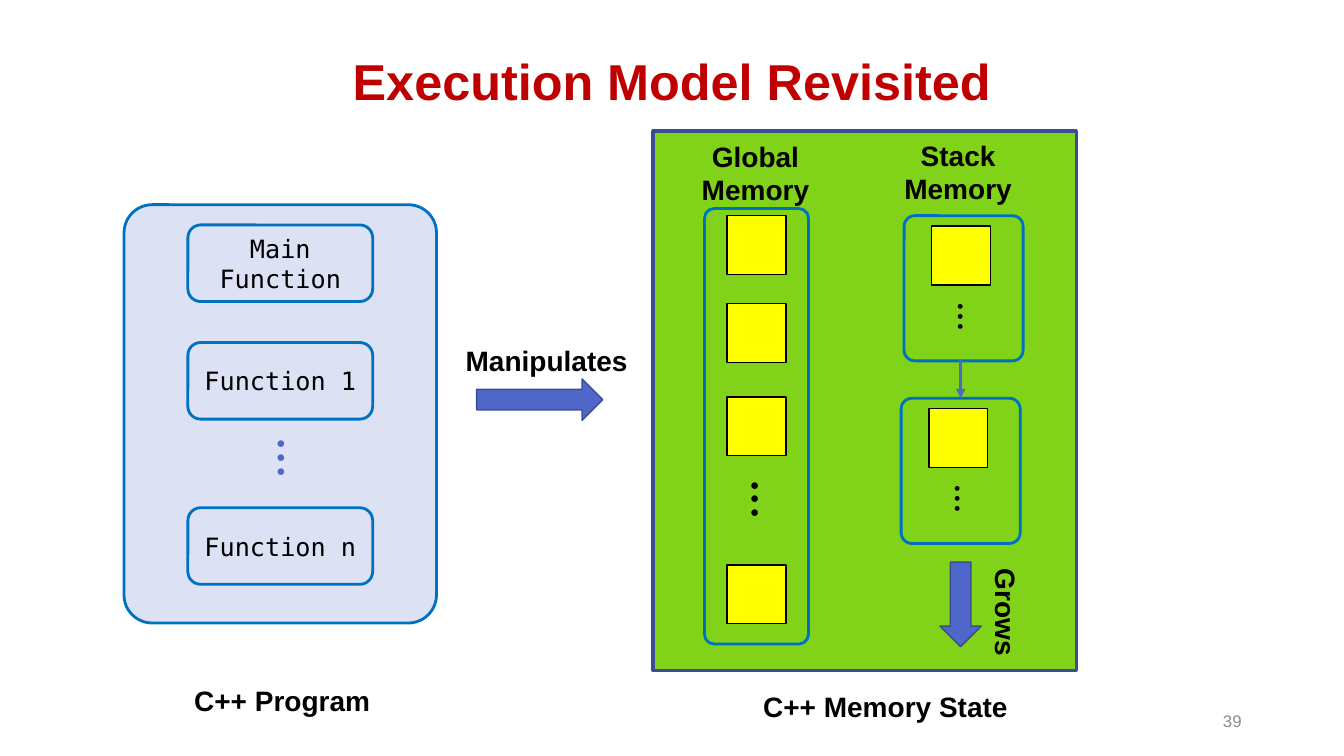
import dataclasses

import pptx
import pptx.dml.color
import pptx.enum.shapes
import pptx.enum.text
import pptx.oxml
import pptx.oxml.ns
import pptx.util

Pt = pptx.util.Pt
Shape = pptx.enum.shapes.MSO_SHAPE
Align = pptx.enum.text.PP_ALIGN
Anchor = pptx.enum.text.MSO_ANCHOR


@dataclasses.dataclass(frozen=True)
class Theme:
    font: str = "Arial"
    code_font: str = "DejaVu Sans Mono"
    black: str = "000000"
    title_red: str = "C00000"
    number_grey: str = "8C8C8C"
    arrow_blue: str = "4E67C8"
    edge_blue: str = "3A4C94"
    frame_blue: str = "0070C0"
    program_fill: str = "DCE1F4"
    memory_green: str = "81D31A"
    cell_yellow: str = "FFFF00"
    title_size: float = 36
    label_size: float = 20
    code_size: float = 18
    number_size: float = 12
    dots_size: float = 11
    small_dots_size: float = 8


THEME = Theme()
CELL = 42
FRAME_ROUNDING = 0.09


def rgb(value):
    return pptx.dml.color.RGBColor.from_string(value)


def write(shape, lines, size, color, font=THEME.font, bold=False,
          align=Align.LEFT, anchor=Anchor.TOP, spacing=None):
    frame = shape.text_frame
    frame.word_wrap = True
    frame.vertical_anchor = anchor
    for index, line in enumerate(lines):
        paragraph = frame.add_paragraph() if index else frame.paragraphs[0]
        paragraph.alignment = align
        if spacing:
            paragraph.line_spacing = spacing
        run = paragraph.add_run()
        run.text = line
        run.font.name = font
        run.font.size = Pt(size)
        run.font.bold = bold
        run.font.color.rgb = rgb(color)


def add_text(slide, box, lines, size, color, rotation=0, **style):
    shape = slide.shapes.add_textbox(*map(Pt, box))
    shape.rotation = rotation
    write(shape, lines, size, color, **style)


def add_label(slide, box, *lines, align=Align.CENTER, rotation=0):
    add_text(slide, box, lines, THEME.label_size, THEME.black,
             rotation=rotation, bold=True, align=align)


def add_dots(slide, left, top, height, size, color):
    add_text(slide, (left, top, 60.5, height), ["● ● ●"], size, color, rotation=90)


def add_box(slide, kind, box, line, width, fill=None, rounding=None):
    shape = slide.shapes.add_shape(kind, *map(Pt, box))
    shape.shadow.inherit = False
    if fill:
        shape.fill.solid()
        shape.fill.fore_color.rgb = rgb(fill)
    else:
        shape.fill.background()
    shape.line.color.rgb = rgb(line)
    shape.line.width = Pt(width)
    if rounding is not None:
        shape.adjustments[0] = rounding
    return shape


def add_frame(slide, box, fill=None):
    add_box(slide, Shape.ROUNDED_RECTANGLE, box, THEME.frame_blue, 2, fill, FRAME_ROUNDING)


def add_cell(slide, left, top):
    add_box(slide, Shape.RECTANGLE, (left, top, CELL, CELL), THEME.black, 1, THEME.cell_yellow)


def add_block_arrow(slide, box, rotation=0):
    arrow = add_box(slide, Shape.RIGHT_ARROW, box, THEME.edge_blue, 1, THEME.arrow_blue)
    arrow.rotation = rotation


def add_link(slide, x, top, bottom):
    link = slide.shapes.add_connector(
        pptx.enum.shapes.MSO_CONNECTOR.STRAIGHT, Pt(x), Pt(top), Pt(x), Pt(bottom))
    link.line.color.rgb = rgb(THEME.arrow_blue)
    link.line.width = Pt(2.25)
    properties = link.element.spPr
    tail = pptx.oxml.parse_xml(
        f'<a:tailEnd {pptx.oxml.ns.nsdecls("a")} type="triangle"/>')
    properties.find(pptx.oxml.ns.qn("a:ln")).append(tail)
    properties.append(pptx.oxml.parse_xml(f'<a:effectLst {pptx.oxml.ns.nsdecls("a")}/>'))


def draw_heading(slide, box):
    add_text(slide, box, ["Execution Model Revisited"], THEME.title_size, THEME.title_red,
             bold=True, align=Align.CENTER, anchor=Anchor.MIDDLE, spacing=0.9)


def draw_page_number(slide, box):
    add_text(slide, box, ["39"], THEME.number_size, THEME.number_grey,
             align=Align.RIGHT, anchor=Anchor.MIDDLE)


def draw_program(slide, box):
    left, top, width, height = box
    add_frame(slide, box, THEME.program_fill)

    # Functions, centred across the program
    function_width = 132
    for name, offset in (("Main Function", 14.5), ("Function 1", 98.5), ("Function n", 216.5)):
        function = add_box(
            slide, Shape.ROUNDED_RECTANGLE,
            (left + (width - function_width) / 2, top + offset, function_width, 54.7),
            THEME.frame_blue, 2)
        write(function, [name], THEME.code_size, THEME.black, font=THEME.code_font,
              align=Align.CENTER, anchor=Anchor.MIDDLE)
    add_dots(slide, left + 82.8, top + 180.7, 21, THEME.dots_size, THEME.arrow_blue)

    add_label(slide, (left + 30, top + height + 39.5, 166, 32), "C++ Program")


def draw_manipulates(slide, box):
    left, top, width, height = box
    add_label(slide, (left, top, width, 32), "Manipulates", align=Align.LEFT)
    add_block_arrow(slide, (left + 15, top + height - 29.5, 90, 29.5))


def draw_global_memory(slide, box):
    left, top, width, height = box
    for offset in (5, 68, 134.5, 254.5):
        add_cell(slide, left + (width - CELL) / 2, top + offset)
    add_dots(slide, left + 6.5, top + 207.5, 21, THEME.dots_size, THEME.black)
    add_label(slide, (left - 17.3, top - 53.2, 107.3, 55.4), "Global", "Memory")
    add_frame(slide, box)


def draw_stack_frame(slide, box):
    left, top = box[:2]
    add_cell(slide, left + 19.8, top + 7.4)
    add_frame(slide, box)
    add_dots(slide, left + 10.4, top + 77, 17.3, THEME.small_dots_size, THEME.black)


def draw_stack_memory(slide, box):
    left, top, width, height = box
    frame_width, frame_height, step = 85, 103.7, 130.4
    add_label(slide, (left, top, width, 55.4), "Stack", "Memory")

    # Two linked stack frames
    first_top = top + 59
    draw_stack_frame(slide, (left + 15.1, first_top, frame_width, frame_height))
    draw_stack_frame(slide, (left + 13, first_top + step, frame_width, frame_height))
    add_link(slide, left + 55.5, first_top + frame_height - 0.5, first_top + step)

    # Direction of growth
    add_block_arrow(slide, (left + 25.2, top + 321.9, 60.5, 29.5), rotation=90)
    add_label(slide, (left + 47.5, top + 328.3, 80.6, 31.7), "Grows",
              align=Align.LEFT, rotation=90)


def draw_memory(slide, box):
    left, top, width, height = box
    add_box(slide, Shape.RECTANGLE, box, THEME.edge_blue, 2.25, THEME.memory_green)
    draw_global_memory(slide, (left + 36.8, top + 55.4, 74.2, 311))
    draw_stack_memory(slide, (left + 164.2, top + 1.5, 107.3, 360))
    add_label(slide, (left + 52.5, top + height + 10.1, 227, 32), "C++ Memory State")


def main():
    presentation = pptx.Presentation()
    presentation.slide_width = Pt(960)
    presentation.slide_height = Pt(540)
    slide = presentation.slides.add_slide(presentation.slide_layouts[6])

    draw_heading(slide, (66, 29, 828, 62))
    draw_memory(slide, (466.5, 93.6, 302.4, 385.2))
    draw_program(slide, (88.6, 146.2, 223.2, 298.8))
    draw_manipulates(slide, (325.5, 242, 140.4, 58.2))
    draw_page_number(slide, (678, 500.4, 216, 28.8))

    presentation.save("out.pptx")


if __name__ == "__main__":
    main()
